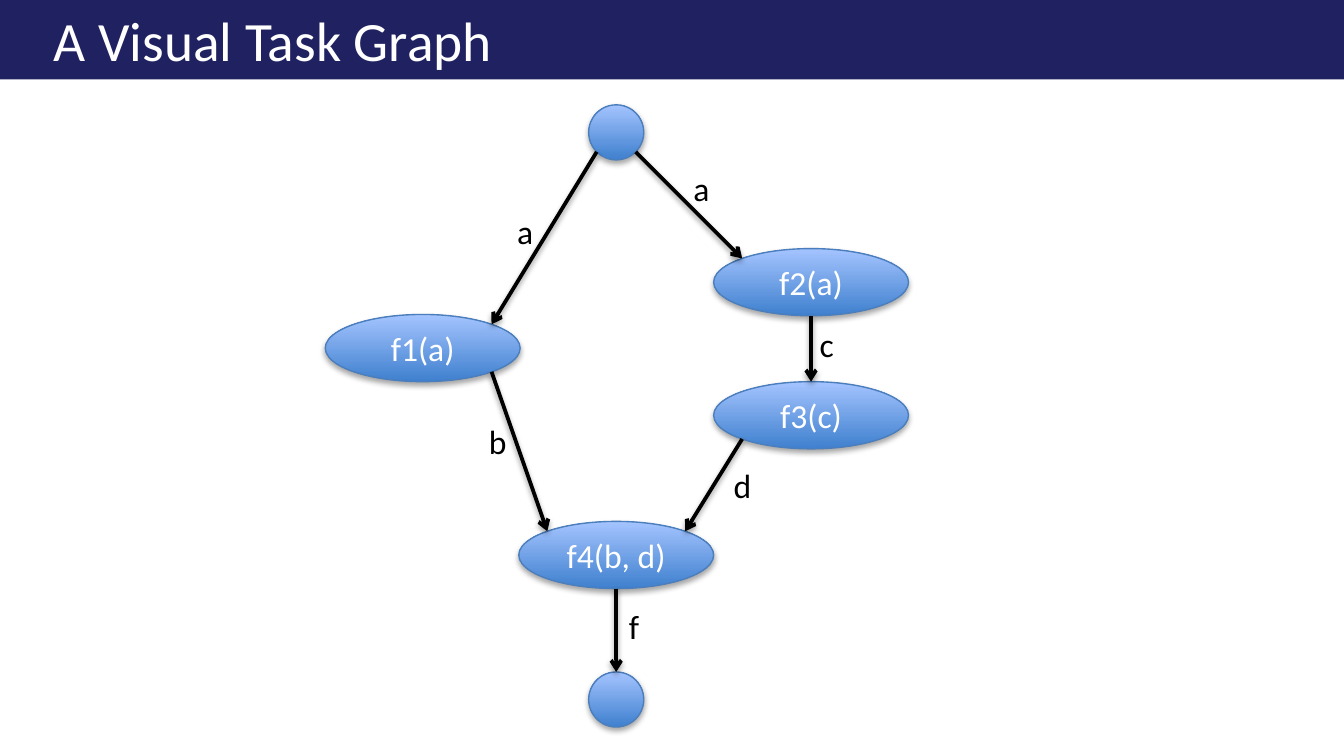
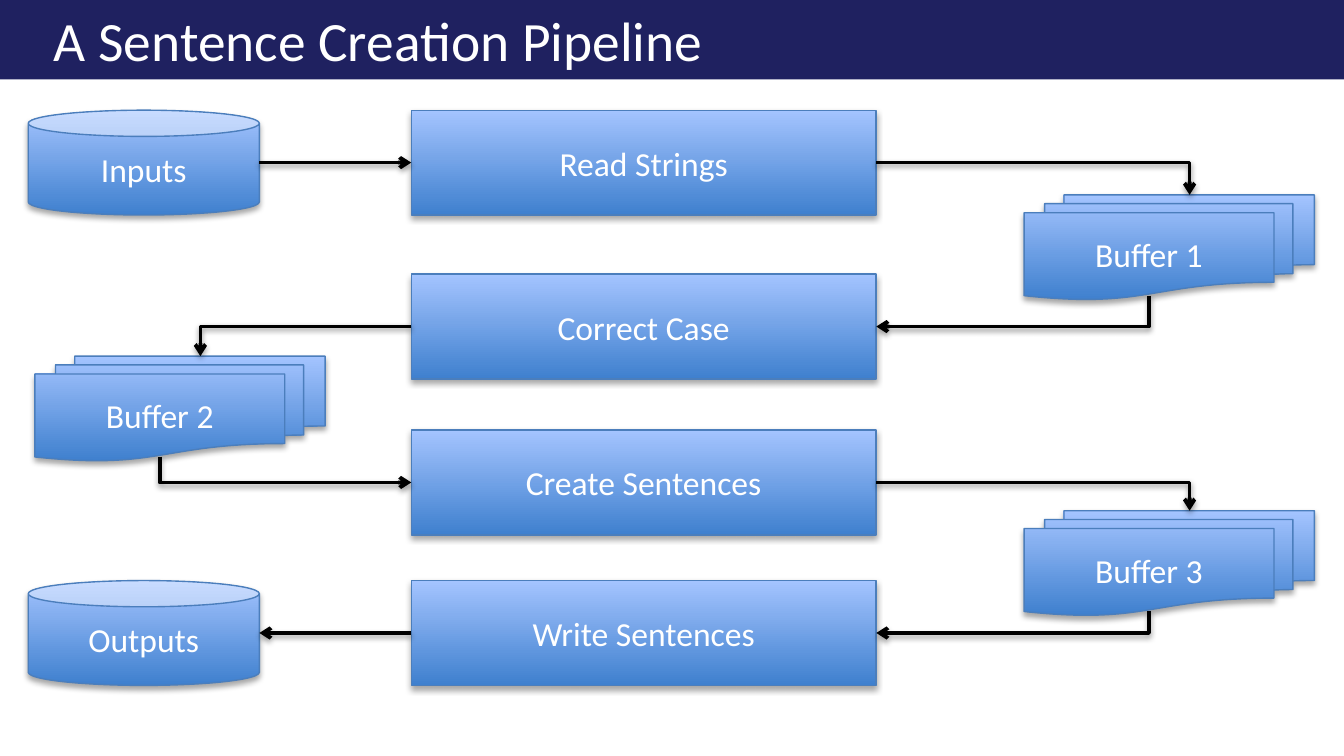
from math import sqrt

from lxml import etree
from pptx import Presentation
from pptx.dml.color import RGBColor
from pptx.enum.shapes import MSO_CONNECTOR, MSO_SHAPE
from pptx.enum.text import MSO_ANCHOR, MSO_AUTO_SIZE, PP_ALIGN
from pptx.oxml.ns import qn
from pptx.util import Inches, Pt

OVAL, RECT, CAN = MSO_SHAPE.OVAL, MSO_SHAPE.RECTANGLE, MSO_SHAPE.CAN
DOCS = MSO_SHAPE.FLOWCHART_MULTIDOCUMENT
STRAIGHT, ELBOW = MSO_CONNECTOR.STRAIGHT, MSO_CONNECTOR.ELBOW
MIDDLE, LEFT, CENTER = MSO_ANCHOR.MIDDLE, PP_ALIGN.LEFT, PP_ALIGN.CENTER
NO_FIT, FIT_SHAPE = MSO_AUTO_SIZE.NONE, MSO_AUTO_SIZE.SHAPE_TO_FIT_TEXT

# Shared look
FONT = "Calibri"
NAVY, WHITE, BLACK = "1F2160", "FFFFFF", "000000"
BLUE_DARK, BLUE_LIGHT, BLUE_LINE = "3F80CE", "A4C4FF", "4B7EBC"

# Fractions of an ellipse's box: side middles and diagonal points
NEAR = 0.5 - sqrt(0.5) / 2
FAR = 1 - NEAR
TOP, BOTTOM = (0.5, 0), (0.5, 1)
TOP_LEFT, TOP_RIGHT = (NEAR, NEAR), (FAR, NEAR)
LOW_LEFT, LOW_RIGHT = (NEAR, FAR), (FAR, FAR)


def rgb(color):
    return RGBColor.from_string(color)


def write(tf, text, size=18, color=BLACK, align=LEFT, indent=0):
    p = tf.paragraphs[0]
    p.alignment = align
    pPr = p._p.get_or_add_pPr()
    pPr.set("marL", str(Inches(indent)))
    pPr.set("indent", "0")
    r = p.add_run()
    r.text = text
    r.font.name = FONT
    r.font.size = Pt(size)
    r.font.color.rgb = rgb(color)


def add_shadow(sp, alpha, distance):
    spPr = sp.element.spPr
    for old in spPr.findall(qn("a:effectLst")):
        spPr.remove(old)
    effects = etree.SubElement(spPr, qn("a:effectLst"))
    outer = etree.SubElement(effects, qn("a:outerShdw"), blurRad=str(Pt(3.1)),
                             dist=str(Pt(distance)), dir="5400000", rotWithShape="0")
    clr = etree.SubElement(outer, qn("a:srgbClr"), val=BLACK)
    etree.SubElement(clr, qn("a:alpha"), val=str(alpha * 1000))


def add_title_slide(prs, title):
    s = prs.slides.add_slide(prs.slide_layouts[5])
    sp = s.shapes.title
    sp.left, sp.top, sp.width, sp.height = Inches(0), Inches(0), Inches(10), Inches(0.59)
    sp.fill.solid()
    sp.fill.fore_color.rgb = rgb(NAVY)
    tf = sp.text_frame
    tf.auto_size = NO_FIT
    tf.vertical_anchor = MIDDLE
    write(tf, title, size=29.7, color=WHITE, indent=0.3)
    return s


def add_node(s, kind, x, y, w, h, text=""):
    sp = s.shapes.add_shape(kind, Inches(x), Inches(y), Inches(w), Inches(h))
    sp.fill.gradient()
    sp.fill.gradient_angle = 90
    for stop, position, color in zip(sp.fill.gradient_stops, (0, 1), (BLUE_DARK, BLUE_LIGHT)):
        stop.position = position
        stop.color.rgb = rgb(color)
    sp.line.color.rgb = rgb(BLUE_LINE)
    sp.line.width = Pt(0.75)
    add_shadow(sp, 35, 1.8)
    if text:
        sp.text_frame.vertical_anchor = MIDDLE
        write(sp.text_frame, text, color=WHITE, align=CENTER)
    return sp


def add_label(s, x, y, w, text):
    tf = s.shapes.add_textbox(Inches(x), Inches(y), Inches(w), Inches(0.4)).text_frame
    tf.word_wrap = False
    tf.auto_size = FIT_SHAPE
    write(tf, text)


def site(sp, fractions):
    fx, fy = fractions
    return (sp.left.inches + fx * sp.width.inches, sp.top.inches + fy * sp.height.inches)


def add_arrow(s, start, end, kind=STRAIGHT):
    c = s.shapes.add_connector(kind, *(Inches(v) for v in (*start, *end)))
    c.line.color.rgb = rgb(BLACK)
    c.line.width = Pt(2)
    etree.SubElement(c.line._get_or_add_ln(), qn("a:tailEnd"), type="arrow")
    add_shadow(c, 38, 1.6)
    return c


def add_bent_arrow(s, start, end, down_first=False):
    """One-corner arrow; a downward start needs a turned frame."""
    (x1, y1), (x2, y2) = start, end
    rightward = x2 > x1
    if down_first:
        cx, cy = (x1 + x2) / 2, (y1 + y2) / 2
        half_w, half_h = (y2 - y1) / 2, abs(x2 - x1) / 2
        if rightward:
            half_w = -half_w
        start, end = (cx - half_w, cy - half_h), (cx + half_w, cy + half_h)
    c = add_arrow(s, start, end, ELBOW)
    spPr = c.element.spPr
    spPr.find(qn("a:prstGeom")).set("prst", "bentConnector2")
    if down_first:
        spPr.find(qn("a:xfrm")).set("rot", str((270 if rightward else 90) * 60000))


def build_task_graph(prs):
    s = add_title_slide(prs, "A Visual Task Graph")

    # Start, tasks and finish
    start, finish = (add_node(s, OVAL, 4.38, y, 0.41, 0.41) for y in (0.78, 5))
    f1, f2, f3, f4 = (
        add_node(s, OVAL, x, y, 1.45, 0.5, text)
        for x, y, text in ((2.42, 2.34, "f1(a)"), (5.31, 1.85, "f2(a)"),
                           (5.31, 2.84, "f3(c)"), (3.86, 3.88, "f4(b, d)")))

    # Dependencies
    for a, a_site, b, b_site in (
            (start, LOW_LEFT, f1, TOP_RIGHT), (start, LOW_RIGHT, f2, TOP_LEFT),
            (f1, LOW_RIGHT, f4, TOP_LEFT), (f2, BOTTOM, f3, TOP),
            (f3, LOW_LEFT, f4, TOP_RIGHT), (f4, BOTTOM, finish, TOP)):
        add_arrow(s, site(a, a_site), site(b, b_site))

    # Values passed along the arrows
    for x, y, w, text in ((3.75, 1.52, 0.32, "a"), (5.06, 1.2, 0.32, "a"),
                          (6, 2.36, 0.31, "c"), (3.54, 3.08, 0.34, "b"),
                          (5.36, 3.41, 0.34, "d"), (4.58, 4.46, 0.28, "f")):
        add_label(s, x, y, w, text)


def build_pipeline(prs):
    s = add_title_slide(prs, "A Sentence Creation Pipeline")
    h = 0.78

    # Stages, stores and buffers
    stages = [add_node(s, RECT, 3.06, y, 3.46, h, text)
              for y, text in ((0.82, "Read Strings"), (2.04, "Correct Case"),
                              (3.2, "Create Sentences"), (4.32, "Write Sentences"))]
    inputs, outputs = (add_node(s, CAN, 0.21, y, 1.72, h, text)
                       for y, text in ((0.82, "Inputs"), (4.32, "Outputs")))
    buffers = [add_node(s, DOCS, x, y, 2.16, h, text)
               for x, y, text in ((7.62, 1.45, "Buffer 1"), (0.26, 2.65, "Buffer 2"),
                                  (7.62, 3.8, "Buffer 3"))]

    # Straight arrows from and to the stores
    left, right = (0, 0.5), (1, 0.5)
    read, last = stages[0], stages[-1]
    add_arrow(s, site(inputs, right), site(read, left)).end_connect(read, 1)
    add_arrow(s, site(last, left), site(outputs, right)).begin_connect(last, 1)

    # Each buffer takes from one stage and feeds the next on the same side
    for stage, buffer, following in zip(stages, buffers, stages[1:]):
        side = right if buffer.left > stage.left else left
        add_bent_arrow(s, site(stage, side), site(buffer, (0.57, 0)))
        add_bent_arrow(s, site(buffer, (0.43, 0.96)), site(following, side), down_first=True)


def main():
    prs = Presentation()
    # Widescreen, 16:9
    prs.slide_width = Inches(10)
    prs.slide_height = Inches(10 * 9 / 16)
    build_task_graph(prs)
    build_pipeline(prs)
    prs.save("out.pptx")


if __name__ == "__main__":
    main()
